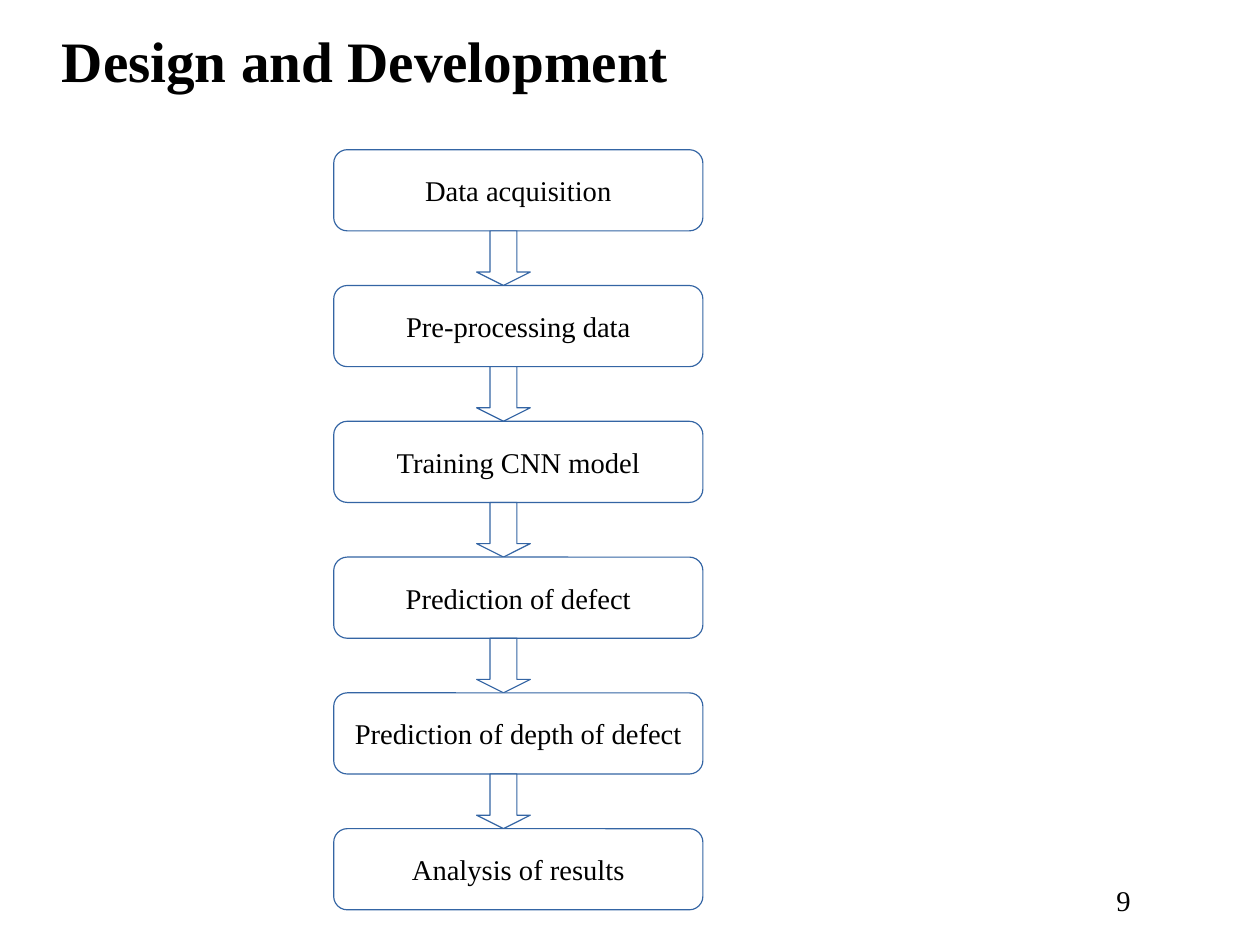
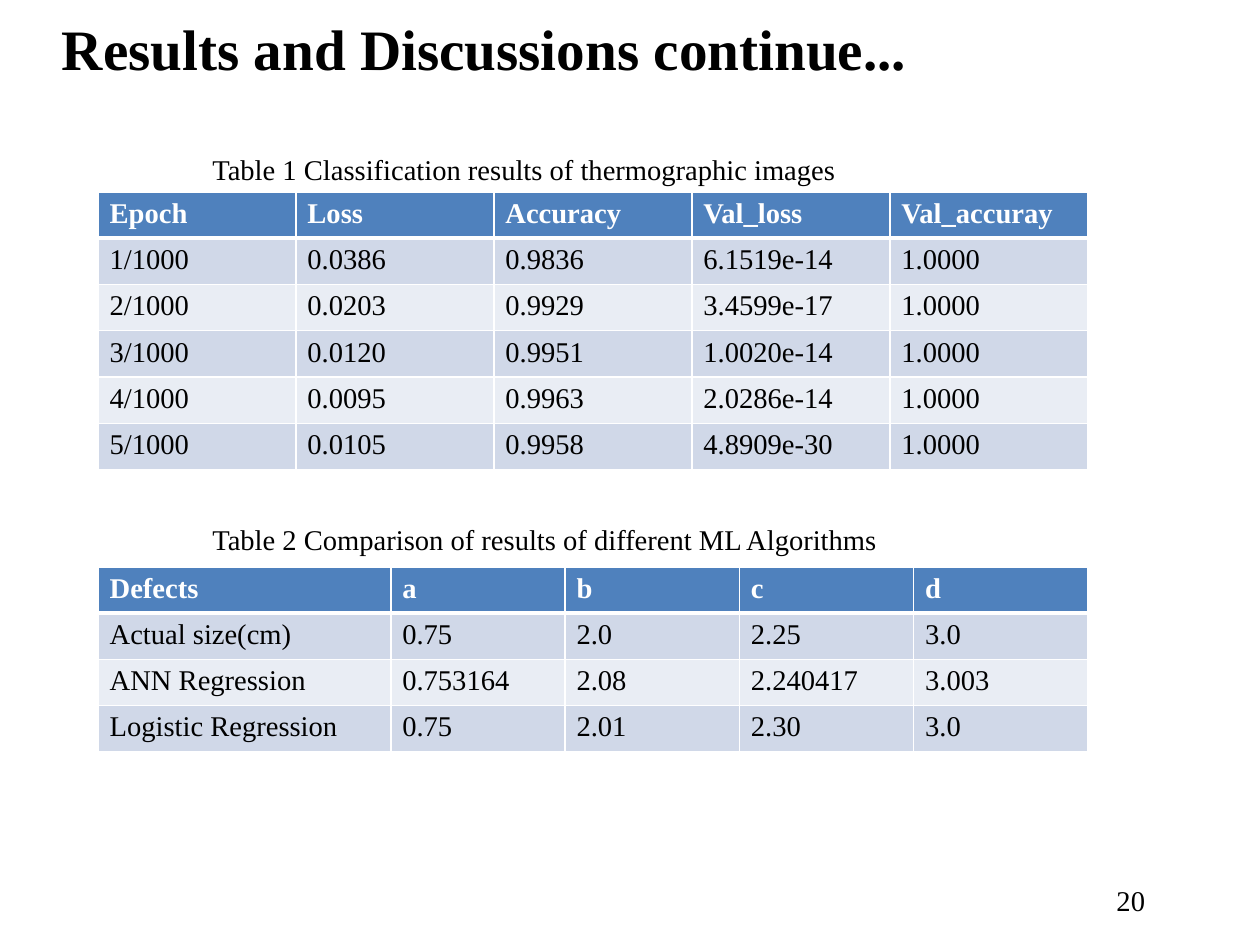
from lxml import etree
from pptx import Presentation
from pptx.dml.color import RGBColor
from pptx.enum.shapes import MSO_SHAPE
from pptx.enum.text import MSO_ANCHOR, MSO_AUTO_SIZE, PP_ALIGN
from pptx.oxml.ns import qn
from pptx.util import Inches, Pt

FONT = "Times New Roman"
COLORS = {
    "text": "000000",
    "paper": "FFFFFF",
    "outline": "3465A4",
    "header": "4F81BD",
    "band_dark": "D0D8E8",
    "band_light": "E9EDF4",
}

STEPS = [
    "Data acquisition",
    "Pre-processing data",
    "Training CNN model",
    "Prediction of defect",
    "Prediction of depth of defect",
    "Analysis of results",
]

EPOCH_ROWS = [
    ["Epoch", "Loss", "Accuracy", "Val_loss", "Val_accuray"],
    ["1/1000", "0.0386", "0.9836", "6.1519e-14", "1.0000"],
    ["2/1000", "0.0203", "0.9929", "3.4599e-17", "1.0000"],
    ["3/1000", "0.0120", "0.9951", "1.0020e-14", "1.0000"],
    ["4/1000", "0.0095", "0.9963", "2.0286e-14", "1.0000"],
    ["5/1000", "0.0105", "0.9958", "4.8909e-30", "1.0000"],
]

ALGORITHM_ROWS = [
    ["Defects", "a", "b", "c", "d"],
    ["Actual size(cm)", "0.75", "2.0", "2.25", "3.0"],
    ["ANN Regression", "0.753164", "2.08", "2.240417", "3.003"],
    ["Logistic Regression", "0.75", "2.01", "2.30", "3.0"],
]


def rgb(name):
    return RGBColor.from_string(COLORS[name])


def write(tf, text, size=18, color="text", bold=False, align=PP_ALIGN.LEFT):
    tf.text = text
    p = tf.paragraphs[0]
    p.alignment = align
    font = p.runs[0].font
    font.name, font.size, font.bold = FONT, Pt(size), bold
    font.color.rgb = rgb(color)


def add_text(slide, text, x, y, w, h=0.4):
    tf = slide.shapes.add_textbox(Inches(x), Inches(y), Inches(w), Inches(h)).text_frame
    tf.word_wrap = True
    write(tf, text)


def add_slide(prs, title, number, title_top):
    """Slide with the shared title style and page number."""
    slide = prs.slides.add_slide(prs.slide_layouts[5])
    sp = slide.shapes.title
    sp.left, sp.top = Inches(0.54), Inches(title_top)
    sp.width, sp.height = Inches(9.75), Inches(0.61)
    tf = sp.text_frame
    tf.margin_left = tf.margin_top = tf.margin_right = tf.margin_bottom = 0
    tf.vertical_anchor = MSO_ANCHOR.MIDDLE
    tf.auto_size = MSO_AUTO_SIZE.NONE
    write(tf, title, size=36, bold=True)
    add_text(slide, str(number), 9.67, 7.68, 1.34)
    return slide


def add_outlined(slide, kind, x, y, w, h):
    sp = slide.shapes.add_shape(kind, Inches(x), Inches(y), Inches(w), Inches(h))
    sp.shadow.inherit = False
    sp.fill.solid()
    sp.fill.fore_color.rgb = rgb("paper")
    sp.line.color.rgb = rgb("outline")
    sp.line.width = Pt(0.75)
    return sp


def add_flow(slide, steps):
    """Column of rounded boxes, joined by block arrows that fill the gaps."""
    top, last_top, box_h = 1.31, 7.25, 0.71
    pitch = (last_top - top) / (len(steps) - 1)
    for i, step in enumerate(steps):
        y = top + i * pitch
        box = add_outlined(slide, MSO_SHAPE.ROUNDED_RECTANGLE, 2.92, y, 3.23, box_h)
        tf = box.text_frame
        tf.word_wrap = False
        tf.vertical_anchor = MSO_ANCHOR.MIDDLE
        write(tf, step, align=PP_ALIGN.CENTER)
        if i < len(steps) - 1:
            arrow = add_outlined(slide, MSO_SHAPE.DOWN_ARROW, 4.17, y + box_h,
                                 0.47, pitch - box_h)
            arrow.adjustments[0], arrow.adjustments[1] = 0.5, 0.25


def add_bottom_border(cell, color, width):
    """Line under a cell; it must precede the fill in the cell properties."""
    tc_pr = cell._tc.get_or_add_tcPr()
    ln = etree.Element(qn("a:lnB"), w=str(Pt(width)))
    fill = etree.SubElement(ln, qn("a:solidFill"))
    etree.SubElement(fill, qn("a:srgbClr"), val=COLORS[color])
    tc_pr.insert(0, ln)


def add_data_table(slide, caption, caption_top, rows, top, height, first_width):
    """Caption and banded table; the columns after the first share the rest."""
    width, n_cols = 8.66, len(rows[0])
    table = slide.shapes.add_table(len(rows), n_cols, Inches(0.86), Inches(top),
                                   Inches(width), Inches(height)).table
    other_width = (width - first_width) / (n_cols - 1)
    for c, column in enumerate(table.columns):
        column.width = Inches(other_width if c else first_width)
    for r, values in enumerate(rows):
        header = r == 0
        fill = "header" if header else "band_dark" if r % 2 else "band_light"
        for c, value in enumerate(values):
            cell = table.cell(r, c)
            cell.fill.solid()
            cell.fill.fore_color.rgb = rgb(fill)
            write(cell.text_frame, value, color="paper" if header else "text", bold=header)
            if header:
                add_bottom_border(cell, "paper", 3)
    add_text(slide, caption, 1.76, caption_top, 6.35)


def main():
    prs = Presentation()
    # 28 by 21 centimetres
    prs.slide_width, prs.slide_height = Inches(28 / 2.54), Inches(21 / 2.54)

    # Process flow
    slide = add_slide(prs, "Design and Development", 9, 0.22)
    add_flow(slide, STEPS)

    # Result tables
    slide = add_slide(prs, "Results and Discussions continue...", 20, 0.11)
    add_data_table(slide, "Table 2 Comparison of results of different ML Algorithms", 4.52,
                   ALGORITHM_ROWS, 4.96, 1.62, 2.56)
    add_data_table(slide, "Table 1 Classification results of thermographic images", 1.28,
                   EPOCH_ROWS, 1.68, 2.43, 1.73)

    prs.save("out.pptx")


if __name__ == "__main__":
    main()
